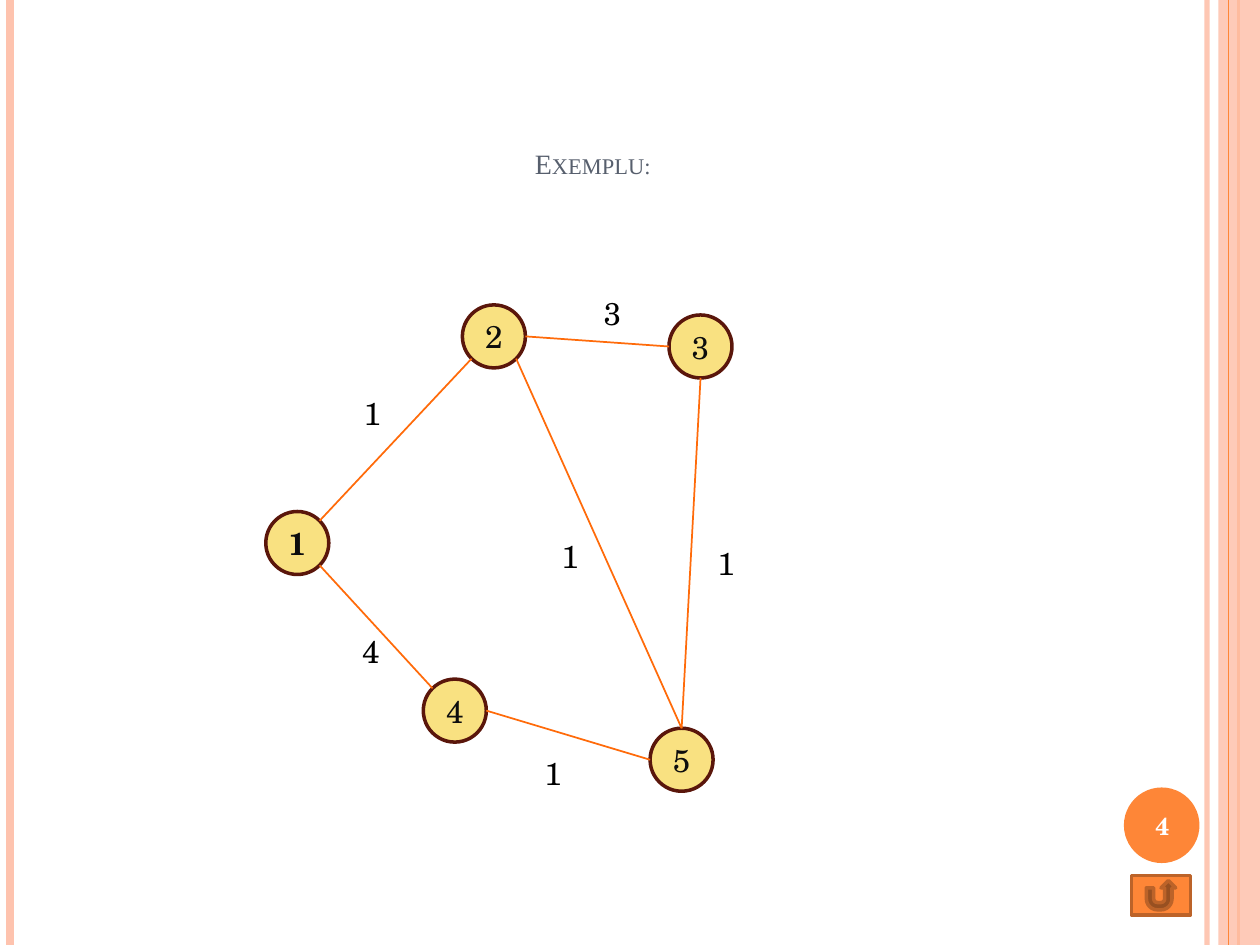
"""Build the example slide with a weighted graph of five nodes."""
import math
from dataclasses import dataclass

import pptx
import pptx.dml.color
import pptx.enum.shapes
import pptx.enum.text
import pptx.oxml
import pptx.oxml.ns
import pptx.util
from pptx.util import Inches

RGBColor = pptx.dml.color.RGBColor
Shape = pptx.enum.shapes.MSO_SHAPE
Anchor = pptx.enum.text.MSO_ANCHOR

WHITE = RGBColor(0xFF, 0xFF, 0xFF)
BLACK = RGBColor(0x00, 0x00, 0x00)
INK = RGBColor(0x0D, 0x0D, 0x0D)
SLATE = RGBColor(0x57, 0x5F, 0x6D)
ORANGE = RGBColor(0xFE, 0x86, 0x37)
RUST = RGBColor(0xBC, 0x63, 0x29)
PEACH = RGBColor(0xFE, 0xC3, 0xAE)
YELLOW = RGBColor(0xF9, 0xE1, 0x81)
MAROON = RGBColor(0x5A, 0x16, 0x0B)
EDGE_COLOR = RGBColor(0xFF, 0x6B, 0x0A)

SERIF = "TeX Gyre Schola"
NODE_SIZE = 0.5
SLIDE_HEIGHT = 7.5


@dataclass
class Stripe:
    x: float
    color: RGBColor
    width: float
    opacity: int = 100


@dataclass
class Node:
    name: str
    left: float
    top: float
    bold: bool = False

    def rim(self, degrees: float) -> tuple[float, float]:
        """Return the point on the circle, clockwise from the right."""
        radius = NODE_SIZE / 2
        angle = math.radians(degrees)
        return (self.left + radius + radius * math.cos(angle),
                self.top + radius + radius * math.sin(angle))


@dataclass
class Edge:
    start: str
    start_angle: float
    end: str
    end_angle: float


@dataclass
class Weight:
    text: str
    left: float
    top: float
    width: float
    height: float


STRIPES = [
    Stripe(9.58, PEACH, 3, 93),
    Stripe(0.08, PEACH, 4.5),
    Stripe(9.83, ORANGE, 1.5),
]
THIN_STRIPE = Stripe(9.75, ORANGE, 0.75)
NODES = [
    Node("1", 2.11, 4.06, True),
    Node("4", 3.36, 5.39),
    Node("5", 5.16, 5.78),
    Node("3", 5.31, 2.5),
    Node("2", 3.67, 2.42),
]
EDGES = [
    Edge("2", 135, "1", -45),
    Edge("2", 0, "3", 180),
    Edge("1", 45, "4", -135),
    Edge("4", 0, "5", 180),
    Edge("2", 45, "5", -90),
    Edge("3", 90, "5", -90),
]
WEIGHTS = [
    Weight("1", 2.73, 3.12, 0.39, 0.31),
    Weight("4", 2.73, 5, 0.31, 0.34),
    Weight("1", 4.3, 4.22, 0.39, 0.39),
    Weight("1", 5.55, 4.22, 0.31, 0.5),
    Weight("1", 4.14, 5.94, 0.5, 0.39),
    Weight("3", 4.61, 2.27, 0.5, 0.42),
]


def set_opacity(element, percent: int) -> None:
    color = element.find(".//" + pptx.oxml.ns.qn("a:srgbClr"))
    alpha = pptx.oxml.parse_xml(
        f'<a:alpha {pptx.oxml.ns.nsdecls("a")} val="{percent * 1000}"/>')
    color.append(alpha)


def add_line(slide, start: tuple[float, float], end: tuple[float, float],
             color: RGBColor, width: float, opacity: int = 100) -> None:
    points = [Inches(value) for value in (*start, *end)]
    line = slide.shapes.add_connector(
        pptx.enum.shapes.MSO_CONNECTOR.STRAIGHT, *points)
    line.line.color.rgb = color
    line.line.width = pptx.util.Pt(width)
    if opacity < 100:
        set_opacity(line.line._ln, opacity)
    properties = line._element.spPr
    properties.append(properties.makeelement(pptx.oxml.ns.qn("a:effectLst"), {}))


def add_stripe(slide, stripe: Stripe) -> None:
    add_line(slide, (stripe.x, 0), (stripe.x, SLIDE_HEIGHT),
             stripe.color, stripe.width, stripe.opacity)


def add_figure(slide, kind, bounds: tuple[float, ...], fill: RGBColor,
               outline: RGBColor | None = None):
    figure = slide.shapes.add_shape(kind, *map(Inches, bounds))
    figure.shadow.inherit = False
    figure.fill.solid()
    figure.fill.fore_color.rgb = fill
    if outline is None:
        figure.line.fill.background()
    else:
        figure.line.color.rgb = outline
        figure.line.width = pptx.util.Pt(2)
    return figure


def write(box, text: str, size: float, color: RGBColor, font: str = SERIF,
          bold: bool = False, anchor=Anchor.MIDDLE):
    frame = box.text_frame
    frame.word_wrap = True
    frame.vertical_anchor = anchor
    frame.text = text
    para = frame.paragraphs[0]
    para.alignment = pptx.enum.text.PP_ALIGN.CENTER
    span = para.runs[0]
    span.font.name = font
    span.font.size = pptx.util.Pt(size)
    span.font.bold = bold
    span.font.color.rgb = color
    return span


def main() -> None:
    deck = pptx.Presentation()
    deck.slide_width = Inches(10)
    deck.slide_height = Inches(SLIDE_HEIGHT)
    slide = deck.slides.add_slide(deck.slide_layouts[6])

    for stripe in STRIPES:
        add_stripe(slide, stripe)
    band = add_figure(slide, Shape.RECTANGLE, (9.67, 0, 0.33, SLIDE_HEIGHT), PEACH)
    set_opacity(band._element.spPr, 87)
    add_stripe(slide, THIN_STRIPE)
    add_figure(slide, Shape.OVAL, (8.92, 6.25, 0.6, 0.6), ORANGE)

    title = slide.shapes.add_textbox(*map(Inches, (0.62, 0.23, 8.17, 1.25)))
    span = write(title, "Exemplu:", 16, SLATE, "Times New Roman",
                 anchor=Anchor.BOTTOM)
    span.font._element.set("cap", "small")

    for node in NODES:
        circle = add_figure(slide, Shape.FLOWCHART_CONNECTOR,
                            (node.left, node.top, NODE_SIZE, NODE_SIZE),
                            YELLOW, MAROON)
        write(circle, node.name, 18, INK, bold=node.bold)

    nodes = {node.name: node for node in NODES}
    for edge in EDGES:
        add_line(slide, nodes[edge.start].rim(edge.start_angle),
                 nodes[edge.end].rim(edge.end_angle), EDGE_COLOR, 1)

    for weight in WEIGHTS:
        label = add_figure(slide, Shape.FLOWCHART_CONNECTOR,
                           (weight.left, weight.top, weight.width, weight.height),
                           WHITE, WHITE)
        write(label, weight.text, 18, BLACK)

    number = slide.shapes.add_textbox(*map(Inches, (8.89, 6.27, 0.67, 0.57)))
    write(number, "4", 14, WHITE, bold=True)
    add_figure(slide, Shape.ACTION_BUTTON_RETURN, (8.98, 6.95, 0.47, 0.31),
               ORANGE, RUST)
    deck.save("out.pptx")


main()
